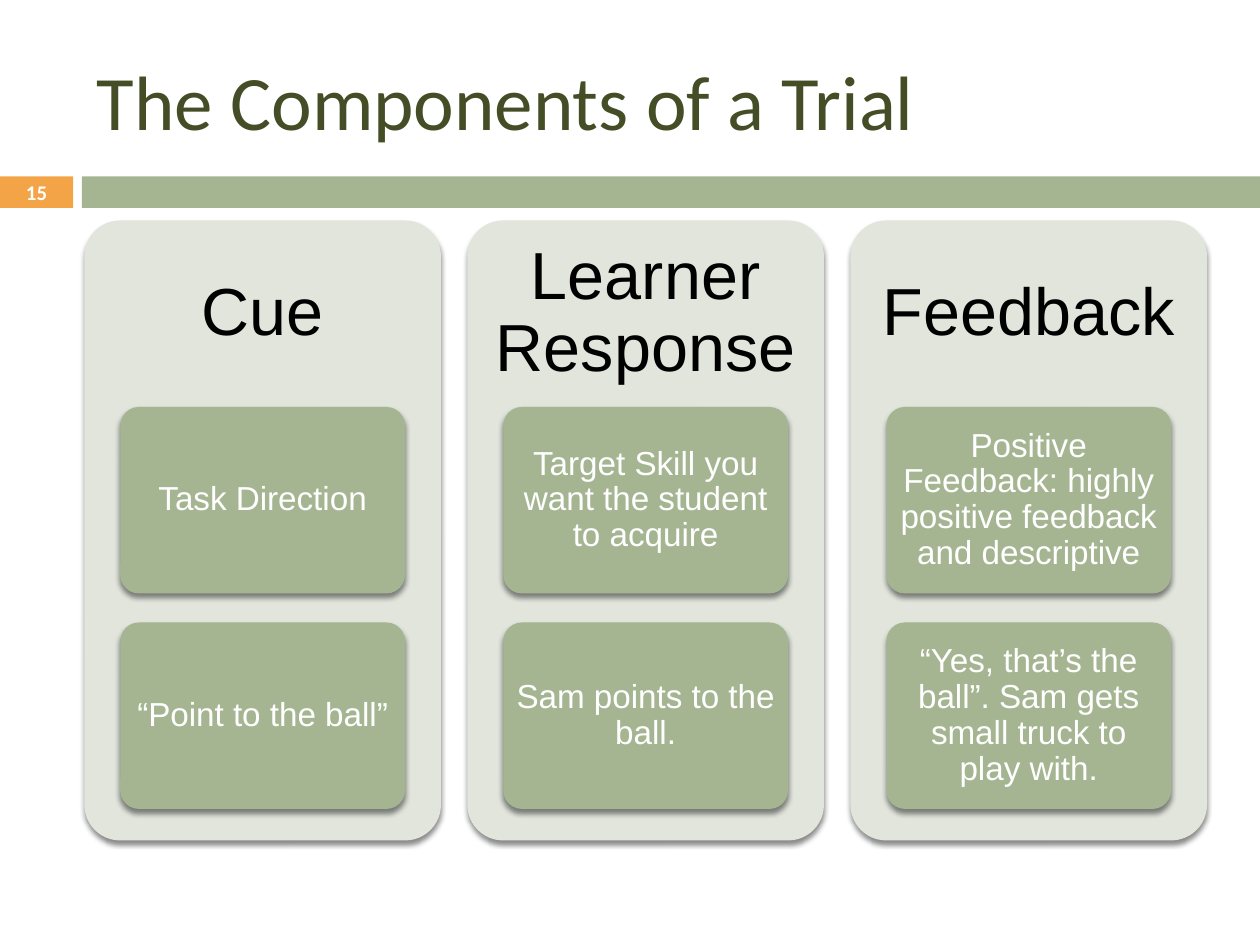
from lxml import etree
from pptx import Presentation
from pptx.dml.color import RGBColor
from pptx.enum.shapes import MSO_SHAPE
from pptx.enum.text import MSO_ANCHOR, PP_ALIGN
from pptx.oxml import parse_xml
from pptx.oxml.ns import nsdecls
from pptx.util import Inches, Pt

COLORS = {
    "title": "444D26",
    "orange": "F3A447",
    "green": "A5B592",
    "panel": "E1E5DC",
    "black": "000000",
    "white": "FFFFFF",
}
SHADOW = (
    f'<a:effectLst {nsdecls("a")}>'
    '<a:outerShdw blurRad="38100" dist="30480" dir="5400000" rotWithShape="0">'
    '<a:srgbClr val="000000"><a:alpha val="45000"/></a:srgbClr>'
    '</a:outerShdw></a:effectLst>'
)
COLUMNS = [
    ("Cue", ["Task Direction", "“Point to the ball”"]),
    ("Learner Response", ["Target Skill you want the student to acquire",
                          "Sam points to the ball."]),
    ("Feedback", ["Positive Feedback: highly positive feedback and descriptive",
                  "“Yes, that’s the ball”. Sam gets small truck to play with."]),
]

deck = Presentation()
deck.slide_width = Inches(10)
deck.slide_height = Inches(7.5)
page = deck.slides.add_slide(deck.slide_layouts[6])


def add_block(kind, left, top, width, height, color):
    block = page.shapes.add_shape(
        kind, Inches(left), Inches(top), Inches(width), Inches(height))
    block.fill.solid()
    block.fill.fore_color.rgb = RGBColor.from_string(COLORS[color])
    block.line.fill.background()
    block.shadow.inherit = False
    if kind == MSO_SHAPE.ROUNDED_RECTANGLE:
        block.adjustments[0] = 0.1
        properties = block.element.spPr
        properties.remove(properties.find("{*}effectLst"))
        properties.append(parse_xml(SHADOW))
    return block


def write(box, text, font_name, size, color, align=PP_ALIGN.CENTER,
          side=0.1, edge=0.05, spacing=1.0, bold=False):
    frame = box.text_frame
    frame.text = text
    frame.word_wrap = True
    frame.vertical_anchor = MSO_ANCHOR.MIDDLE
    frame.margin_left = frame.margin_right = Inches(side)
    frame.margin_top = frame.margin_bottom = Inches(edge)
    para = frame.paragraphs[0]
    para.alignment = align
    para.line_spacing = spacing
    span = para.runs[0]
    span.font.name = font_name
    span.font.size = Pt(size)
    span.font.bold = bold
    span.font.color.rgb = RGBColor.from_string(COLORS[color])


number_box = add_block(MSO_SHAPE.RECTANGLE, 0, 1.4, 0.58, 0.25, "orange")
write(number_box, "15", "Calibri", 11.9, "white", bold=True)
add_block(MSO_SHAPE.RECTANGLE, 0.65, 1.4, 9.35, 0.25, "green")

title_box = page.shapes.add_textbox(Inches(0.67), Inches(0.25), Inches(8.92), Inches(1.08))
write(title_box, "The Components of a Trial", "Calibri", 44, "title", PP_ALIGN.LEFT)

for column, (heading, cards) in enumerate(COLUMNS):
    left = 0.67 + column * 3.04
    add_block(MSO_SHAPE.ROUNDED_RECTANGLE, left, 1.75, 2.83, 4.92, "panel")
    heading_box = page.shapes.add_textbox(
        Inches(left), Inches(1.75), Inches(2.83), Inches(1.48))
    write(heading_box, heading, "Arial", 38, "black", side=0.16, edge=0.16, spacing=0.9)
    for row, text in enumerate(cards):
        card = add_block(MSO_SHAPE.ROUNDED_RECTANGLE,
                         left + 0.285, 3.23 + row * 1.71, 2.26, 1.48, "green")
        write(card, text, "Arial", 19, "white", side=0.05, edge=0.04, spacing=0.9)

deck.save("out.pptx")
